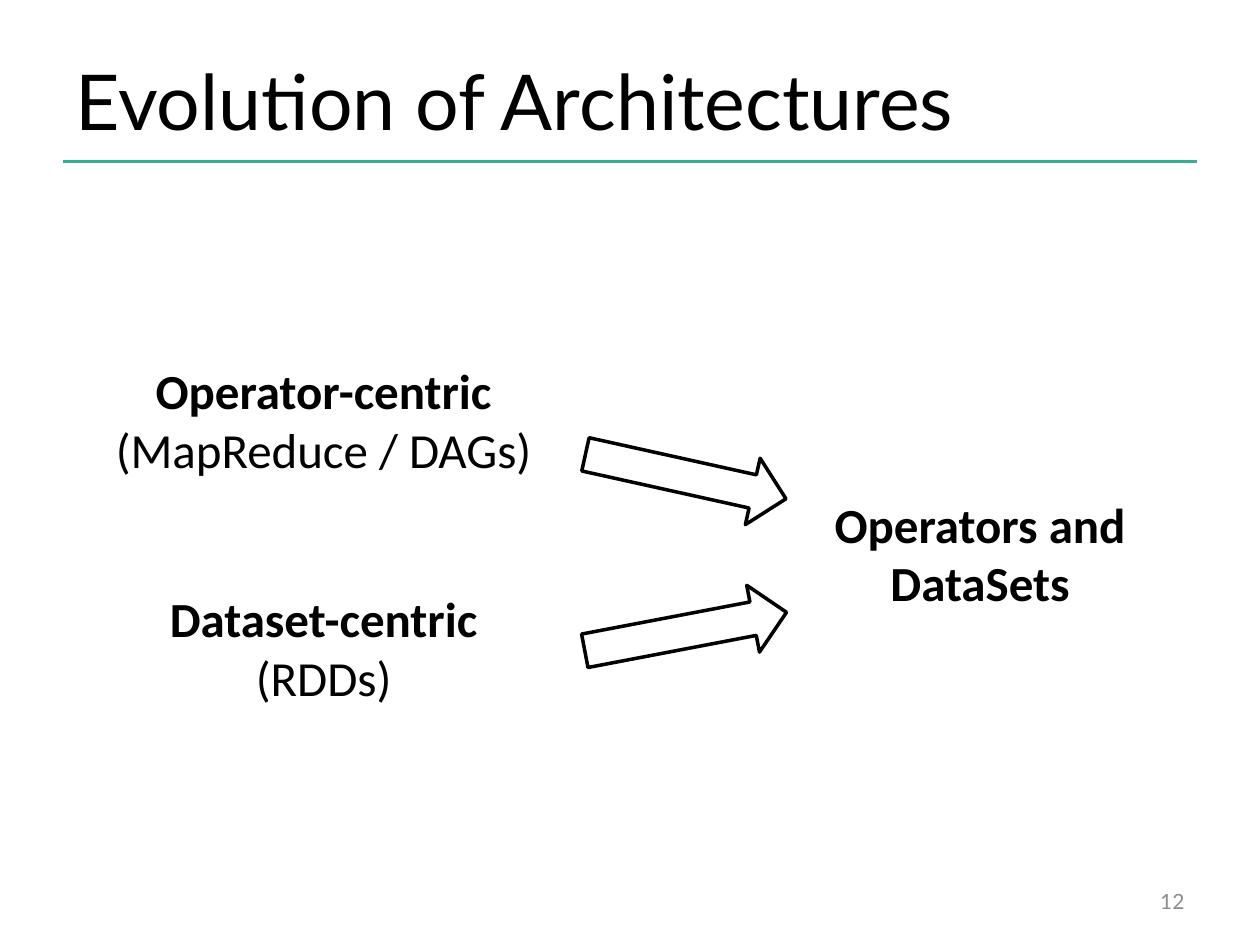
from lxml import etree
from pptx import Presentation
from pptx import util as u
from pptx.dml.color import RGBColor
from pptx.enum import shapes, text
from pptx.oxml.ns import qn

WIDTH, HEIGHT = 10, 7.5
MARGIN = WIDTH / 20
BLACK, WHITE, GREEN, GREY = "000000", "FFFFFF", "34AD91", "8C8C8C"
CENTER, LEFT, RIGHT = text.PP_ALIGN.CENTER, text.PP_ALIGN.LEFT, text.PP_ALIGN.RIGHT
TOP, MIDDLE = text.MSO_ANCHOR.TOP, text.MSO_ANCHOR.MIDDLE


def color(code):
    return RGBColor.from_string(code)


def inches(box):
    return [u.Inches(length) for length in box]


def add_text(page, box, lines, font="Calibri", size=28, fill=BLACK,
             align=CENTER, anchor=TOP, wrap=False):
    """Write lines, given as (words, bold) pairs, one paragraph each."""
    frame = page.shapes.add_textbox(*inches(box)).text_frame
    frame.word_wrap = wrap
    frame.vertical_anchor = anchor
    for index, (words, bold) in enumerate(lines):
        para = frame.paragraphs[0] if index == 0 else frame.add_paragraph()
        para.alignment = align
        span = para.add_run()
        span.text = words
        span.font.name = font
        span.font.size = u.Pt(size)
        span.font.bold = bold
        span.font.color.rgb = color(fill)


def add_header(page, box, title):
    left, top, width, height = box
    bottom = top + height
    rule = page.shapes.add_connector(
        shapes.MSO_CONNECTOR.STRAIGHT,
        *inches((left, bottom, left + width, bottom)))
    rule.line.color.rgb = color(GREEN)
    rule.line.width = u.Pt(2)
    etree.SubElement(rule._element.spPr, qn("a:effectLst"))
    add_text(page, box, [(title, False)], font="Lato", size=44,
             align=LEFT, anchor=MIDDLE, wrap=True)


def add_page_number(page, box, number):
    add_text(page, box, [(number, False)], font="Lato", size=12, fill=GREY,
             align=RIGHT, anchor=MIDDLE, wrap=True)


def add_arrow(page, box, angle):
    arrow = page.shapes.add_shape(shapes.MSO_SHAPE.RIGHT_ARROW, *inches(box))
    arrow.rotation = angle
    arrow.shadow.inherit = False
    arrow.fill.solid()
    arrow.fill.fore_color.rgb = color(WHITE)
    arrow.line.color.rgb = color(BLACK)
    arrow.line.width = u.Pt(2)


def add_merger(page, box):
    """Two source labels on the left, arrows leading to one result."""
    left, top, width, height = box
    label_height = 1.04
    label_width = width * 0.43
    arrow_left, arrow_width, arrow_height = left + width * 0.464, 1.63, 0.54
    sources = [
        ([("Operator-centric", True), ("(MapReduce / DAGs)", False)],
         top, top + 0.7, 12.5),
        ([("Dataset-centric", True), ("(RDDs)", False)],
         top + height - label_height, top + 1.93, 349.2),
    ]
    for lines, label_top, arrow_top, angle in sources:
        add_text(page, (left, label_top, label_width, label_height), lines)
        add_arrow(page, (arrow_left, arrow_top, arrow_width, arrow_height), angle)

    result_width = width * 0.31
    add_text(page, (left + width - result_width, top + 1.06,
                    result_width, label_height),
             [("Operators and", True), ("DataSets", True)])


def main():
    deck = Presentation()
    deck.slide_width, deck.slide_height = inches((WIDTH, HEIGHT))
    page = deck.slides.add_slide(deck.slide_layouts[6])
    content = WIDTH - 2 * MARGIN
    add_header(page, (MARGIN, HEIGHT * 0.04, content, 0.98),
               "Evolution of Architectures")
    number_width = 2.33
    add_page_number(page, (WIDTH - MARGIN - number_width, 6.95,
                           number_width, 0.4), "12")
    add_merger(page, (0.79, HEIGHT * 0.375, 8.27, 2.85))
    deck.save("out.pptx")


if __name__ == "__main__":
    main()
